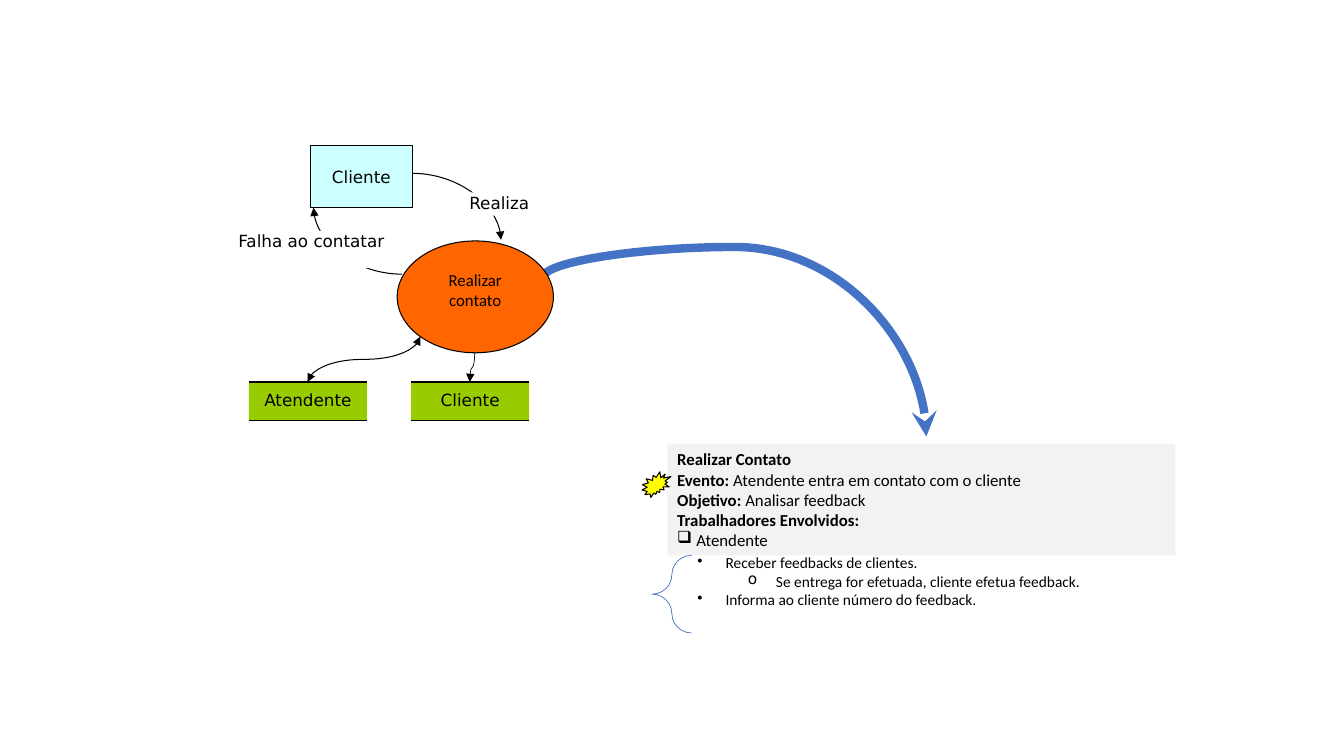
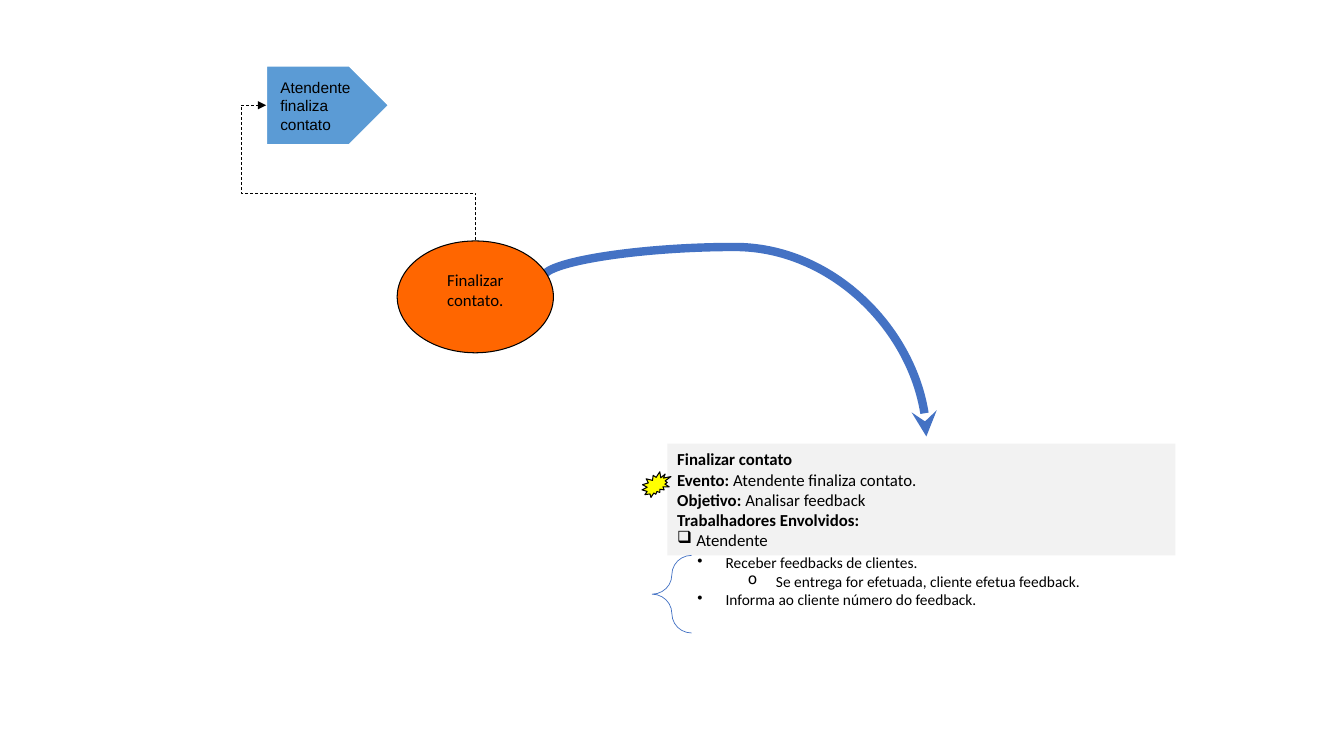
from lxml import etree
from pptx import Presentation
from pptx.dml.color import RGBColor
from pptx.enum.dml import MSO_LINE
from pptx.enum.shapes import MSO_CONNECTOR, MSO_SHAPE
from pptx.enum.text import MSO_ANCHOR, PP_ALIGN
from pptx.oxml.ns import qn
from pptx.util import Inches, Pt

RECT, OVAL = MSO_SHAPE.RECTANGLE, MSO_SHAPE.OVAL
BRACE, BURST = MSO_SHAPE.LEFT_BRACE, MSO_SHAPE.EXPLOSION2
PENTAGON = MSO_SHAPE.PENTAGON
STRAIGHT, DASH = MSO_CONNECTOR.STRAIGHT, MSO_LINE.DASH
TOP, MIDDLE = MSO_ANCHOR.TOP, MSO_ANCHOR.MIDDLE
LEFT, CENTER, JUSTIFY = PP_ALIGN.LEFT, PP_ALIGN.CENTER, PP_ALIGN.JUSTIFY

CELL = 0.1
COLS, ROWS = 133.33, 75
BLACK, WHITE, GREY = "000000", "FFFFFF", "F2F2F2"
BLUE, SKY, AQUA = "4472C4", "5B9BD5", "CCFFFF"
ORANGE, GREEN, YELLOW = "FF6600", "99CC00", "FFFF00"
BODY, LABEL, PLAIN = "Calibri", "DejaVu Sans", "Arial"

PROCESS = (39.4, 23.9, 15.5, 11.1)
NOTE = (66.2, 44, 50.4, 11.1)
TASKS = [
    ("Receber feedbacks de clientes.", "•", 4.9),
    ("Se entrega for efetuada, cliente efetua feedback.", "o", 9.9),
    ("Informa ao cliente número do feedback.", "•", 4.9),
]


def cells(*values):
    return [Inches(v * CELL) for v in values]


def rgb(color):
    return RGBColor.from_string(color)


def add_text(sp, paragraphs, size=12, font=BODY, align=CENTER, anchor=TOP,
             insets=(1, 0.5, 1, 0.5), before=0):
    tf = sp.text_frame
    tf.word_wrap = True
    tf.vertical_anchor = anchor
    tf.margin_left, tf.margin_top, tf.margin_right, tf.margin_bottom = cells(*insets)
    for i, runs in enumerate(paragraphs):
        p = tf.paragraphs[0] if i == 0 else tf.add_paragraph()
        p.alignment = align
        p.space_before = Pt(before)
        for text, bold in runs:
            r = p.add_run()
            r.text = text
            r.font.size, r.font.name, r.font.bold = Pt(size), font, bold
            r.font.color.rgb = rgb(BLACK)
    return tf


def add_bullet(p, char, margin, hang):
    pPr = p._p.get_or_add_pPr()
    pPr.set("marL", str(Inches(margin * CELL)))
    pPr.set("indent", str(-Inches(hang * CELL)))
    etree.SubElement(pPr, qn("a:buChar")).set("char", char)


def add_box(s, kind, box, fill=None, line=None, width=0.75):
    sp = s.shapes.add_shape(kind, *cells(*box))
    sp.shadow.inherit = False
    if fill:
        sp.fill.solid()
        sp.fill.fore_color.rgb = rgb(fill)
    else:
        sp.fill.background()
    if line:
        sp.line.color.rgb = rgb(line)
        sp.line.width = Pt(width)
    else:
        sp.line.fill.background()
    return sp


def add_link(s, box, kind="line", turn=0, flip="", adj=(), color=BLACK,
             width=0.75, head=None, tail=None, dash=None):
    x, y, w, h = box
    if turn in (90, 270):
        x, y, w, h = x + (w - h) / 2, y + (h - w) / 2, h, w
    cxn = s.shapes.add_connector(STRAIGHT, *cells(x, y, x + w, y + h))
    cxn.line.color.rgb = rgb(color)
    cxn.line.width = Pt(width)
    if dash:
        cxn.line.dash_style = dash
    spPr = cxn._element.spPr
    xfrm, geom, ln = (spPr.find(qn(t)) for t in ("a:xfrm", "a:prstGeom", "a:ln"))
    xfrm.set("rot", str(turn * 60000))
    for axis in flip:
        xfrm.set("flip" + axis.upper(), "1")
    geom.set("prst", kind)
    guides = geom.find(qn("a:avLst"))
    for i, share in enumerate(adj, 1):
        gd = etree.SubElement(guides, qn("a:gd"))
        gd.set("name", f"adj{i}")
        gd.set("fmla", f"val {round(share * 100000)}")
    for tag, arrow in (("a:headEnd", head), ("a:tailEnd", tail)):
        if arrow:
            etree.SubElement(ln, qn(tag)).set("type", arrow)
    etree.SubElement(spPr, qn("a:effectLst"))


def add_note(s, box, title, event, goal):
    x, y, w, h = box
    sp = add_box(s, RECT, box, GREY)
    tf = add_text(sp, [
        [(title, True)],
        [("Evento: ", True), (event, False)],
        [("Objetivo: ", True), (goal, False)],
        [("Trabalhadores Envolvidos:", True)],
        [("Atendente", False)],
    ], align=JUSTIFY, anchor=MIDDLE)
    add_bullet(tf.paragraphs[-1], "❑", 1.9, 1.9)

    tasks = s.shapes.add_textbox(*cells(x - 0.1, y + h - 0.7, w + 0.6, 6.6))
    tf = add_text(tasks, [[(text, False)] for text, _, _ in TASKS],
                  size=11, align=JUSTIFY)
    for p, (_, char, margin) in zip(tf.paragraphs, TASKS):
        add_bullet(p, char, margin, 2.8)

    brace = add_box(s, BRACE, (x - 1.5, y + h, 3.9, 7.7), line=BLUE, width=0.5)
    brace.adjustments[0] = 0.52
    burst = add_box(s, BURST, (x - 2.6, y + 2.9, 3.1, 2.3), YELLOW, BLACK)
    burst.rotation = 347.5


def add_process(s, box, name, note):
    x, y, w, h = box
    add_note(s, NOTE, *note)
    add_link(s, (x + 14.5, y + 3.6, 38, 15.8), "curvedConnector3", 270, "h",
             (-0.19,), BLUE, 6, tail="stealth")
    sp = add_box(s, OVAL, box, ORANGE, BLACK)
    add_text(sp, [[(name, False)]], insets=(1, 1.2, 1, 0.5), before=2.4)


def add_label(s, box, text):
    sp = add_box(s, RECT, box, WHITE)
    add_text(sp, [[(text, False)]], font=LABEL, insets=(0, 0, 0, 0))


def add_store(s, box, name):
    x, y, w, h = box
    sp = add_box(s, RECT, box, GREEN)
    add_text(sp, [[(name, False)]], font=LABEL, insets=(1, 0.8, 1, 0.5))
    for edge in (y, y + h):
        add_link(s, (x, edge, w, 0))


def add_client_loop(s, box):
    x, y, w, h = box
    add_link(s, (x + w, y + 2.8, 8.8, 6.6), "curvedConnector2", tail="triangle")
    add_label(s, (x + 11.5, y + 4.7, 15, 2.3), "Realiza ")
    sp = add_box(s, RECT, box, AQUA, BLACK)
    add_text(sp, [[("Cliente", False)]], font=LABEL, anchor=MIDDLE)
    add_link(s, (x + 0.3, y + h, 8.8, 6.6), "curvedConnector2", 180, tail="triangle")
    add_label(s, (x - 7.4, y + 8.5, 15, 3.7), "Falha ao contatar")


def add_stores(s, box):
    x, y, w, h = box
    for i, name in enumerate(("Atendente", "Cliente")):
        add_store(s, (x + i * 16.1, y, w, h), name)
    add_link(s, (x + 5.8, y - 4.5, 11.2, 4.5), "curvedConnector3", 90, "hv",
             (0.5,), head="triangle", tail="triangle")
    add_link(s, (x + 21.9, y - 2.9, 0.5, 2.9), "curvedConnector3", 90,
             width=0.5, tail="triangle")


def add_outcome(s, box, text):
    x, y, w, h = box
    sp = add_box(s, PENTAGON, box, SKY, WHITE, 1.5)
    add_text(sp, [[(text, False)]], size=11, font=PLAIN, align=LEFT,
             anchor=MIDDLE, insets=(1.4, 0, 0, 0))
    add_link(s, (x, y + h / 2, 20.8, 13.4), "bentConnector4", 270, "v",
             (0.35, 1.12), width=0.5, tail="triangle", dash=DASH)


def main():
    prs = Presentation()
    prs.slide_width, prs.slide_height = cells(COLS, ROWS)
    blank = prs.slide_layouts[6]

    s = prs.slides.add_slide(blank)
    add_process(s, PROCESS, "Realizar contato", (
        "Realizar Contato", "Atendente entra em contato com o cliente",
        "Analisar feedback"))
    add_client_loop(s, (30.8, 14.4, 10.1, 6.2))
    add_stores(s, (24.7, 37.9, 11.7, 3.8))

    s = prs.slides.add_slide(blank)
    add_process(s, PROCESS, "Finalizar contato.", (
        "Finalizar contato", "Atendente finaliza contato.", "Analisar feedback"))
    add_outcome(s, (26.4, 6.5, 12.2, 7.9), "Atendente finaliza contato")

    prs.save("out.pptx")


if __name__ == "__main__":
    main()
